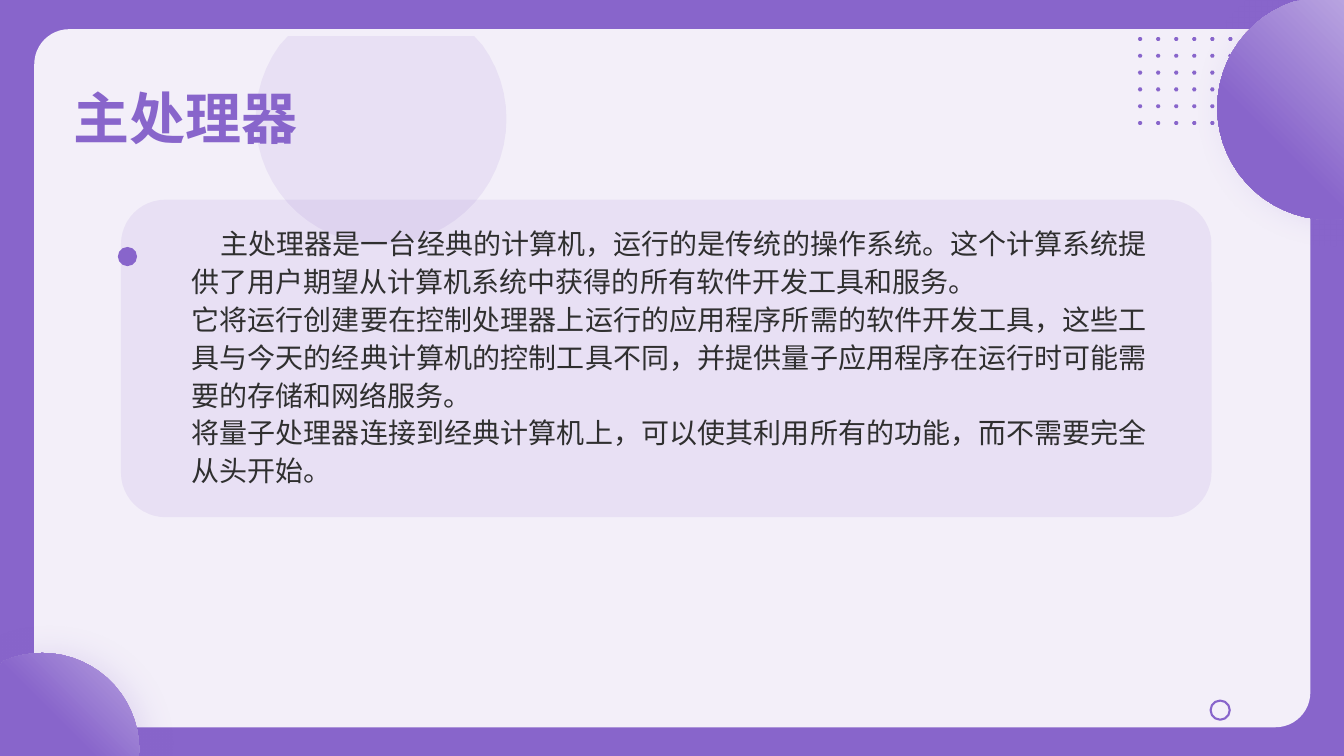
"""Build the main processor slide."""
from math import cos, radians, sin

from lxml.etree import SubElement
from pptx import Presentation
from pptx.dml.color import RGBColor
from pptx.enum.shapes import MSO_SHAPE
from pptx.enum.text import MSO_ANCHOR, PP_ALIGN
from pptx.oxml.ns import qn
from pptx.util import Pt

PURPLE = RGBColor(0x88, 0x65, 0xCB)
LILAC = RGBColor(0xB8, 0xA3, 0xE0)
WHITE = RGBColor(0xFF, 0xFF, 0xFF)
INK = RGBColor(0x2F, 0x2F, 0x2F)
WIDTH, HEIGHT = 960, 540
EAST_ASIAN_FONT = "Noto Sans CJK SC"
BODY = [
    "主处理器是一台经典的计算机，运行的是传统的操作系统。这个计算系统提供了用户期望从计算机系统中获得的所有软件开发工具和服务。",
    "它将运行创建要在控制处理器上运行的应用程序所需的软件开发工具，这些工具与今天的经典计算机的控制工具不同，并提供量子应用程序在运行时可能需要的存储和网络服务。",
    "将量子处理器连接到经典计算机上，可以使其利用所有的功能，而不需要完全从头开始。",
]


def fill_shape(shape, color, opacity=100):
    shape.shadow.inherit = False
    shape.line.fill.background()
    shape.fill.solid()
    shape.fill.fore_color.rgb = color
    if opacity < 100:
        tint = shape._element.spPr.find(qn("a:solidFill"))[0]
        SubElement(tint, qn("a:alpha"), val=str(opacity * 1000))


def add_glow(shape):
    effects = shape._element.spPr.find(qn("a:effectLst"))
    shadow = SubElement(effects, qn("a:outerShdw"), blurRad=str(Pt(23)),
                        dist=str(Pt(5)), dir="0", rotWithShape="0")
    tint = SubElement(shadow, qn("a:srgbClr"), val=str(PURPLE))
    SubElement(tint, qn("a:alpha"), val="17000")


def add_preset(slide, kind, left, top, width, height, color, opacity=100):
    shape = slide.shapes.add_shape(kind, Pt(left), Pt(top), Pt(width), Pt(height))
    fill_shape(shape, color, opacity)
    return shape


def circle_points(x, y, radius, step=6, top=0):
    """Return points of a circle, held inside the slide and below top."""
    points = [
        (Pt(min(max(x + radius * cos(radians(angle)), 0), WIDTH)),
         Pt(min(max(y + radius * sin(radians(angle)), top), HEIGHT)))
        for angle in range(0, 360, step)
    ]
    return list(dict.fromkeys(points))


def add_circles(slide, outlines, color, opacity=100):
    builder = slide.shapes.build_freeform(*outlines[0][0])
    for index, points in enumerate(outlines):
        if index:
            builder.move_to(*points[0])
        builder.add_line_segments(points[1:], close=True)
    shape = builder.convert_to_shape()
    fill_shape(shape, color, opacity)
    return shape


def add_corner_ball(slide, x, y, radius):
    ball = add_circles(slide, [circle_points(x, y, radius)], PURPLE)
    ball.fill.gradient()
    ball.fill.gradient_angle = 225
    stops = ball.fill.gradient_stops
    for stop, color, position in zip(stops, (LILAC, PURPLE), (0, 0.62)):
        stop.color.rgb = color
        stop.position = position
    add_glow(ball)


def add_dot_grid(slide):
    dots = [
        circle_points(814.4 + 12.9 * column, 27.9 + 12 * row, 1.6, step=60)
        for row in range(6)
        for column in range(6 if row < 2 else 5)
    ]
    add_circles(slide, dots, PURPLE)


def add_text(slide, left, top, width, height, lines, font, size, color, bold=False):
    box = slide.shapes.add_textbox(Pt(left), Pt(top), Pt(width), Pt(height))
    frame = box.text_frame
    frame.word_wrap = True
    frame.vertical_anchor = MSO_ANCHOR.BOTTOM
    frame.text = "\n".join(lines)
    for paragraph in frame.paragraphs:
        paragraph.font.name = font
        paragraph.font.size = Pt(size)
        paragraph.font.bold = bold
        paragraph.font.color.rgb = color
        defaults = paragraph._p.pPr.find(qn("a:defRPr"))
        SubElement(defaults, qn("a:ea"), typeface=EAST_ASIAN_FONT)
    return frame.paragraphs


def add_body(slide):
    paragraphs = add_text(slide, 118.8, 150, 707.8, 201.7, BODY, "Inter", 20, INK)
    for index, paragraph in enumerate(paragraphs):
        paragraph.alignment = PP_ALIGN.JUSTIFY
        paragraph.line_spacing = Pt(27)
        properties = paragraph._p.pPr
        properties.set("marL", str(Pt(10.8)))
        properties.set("indent", str(Pt(0 if index else 20.9)))


def main():
    presentation = Presentation()
    presentation.slide_width, presentation.slide_height = Pt(WIDTH), Pt(HEIGHT)
    slide = presentation.slides.add_slide(presentation.slide_layouts[6])
    slide.background.fill.solid()
    slide.background.fill.fore_color.rgb = PURPLE

    card = add_preset(slide, MSO_SHAPE.ROUNDED_RECTANGLE, 24.5, 20.9, 911.5, 498.6, WHITE, 90)
    card.adjustments[0] = 0.05
    add_glow(card)
    add_dot_grid(slide)
    add_corner_ball(slide, 949.5, 77, 80)
    add_corner_ball(slide, 30.2, 535.7, 69.3)

    panel = add_preset(slide, MSO_SHAPE.ROUNDED_RECTANGLE, 86.4, 142.6, 779, 226.8, PURPLE, 10)
    panel.adjustments[0] = 0.14
    add_circles(slide, [circle_points(272.2, 85, 89.6, top=25.9)], PURPLE, 10)
    add_preset(slide, MSO_SHAPE.OVAL, 84.2, 176.4, 13.7, 13.7, PURPLE)
    ring = add_preset(slide, MSO_SHAPE.OVAL, 864.7, 500.4, 13.7, 13.7, PURPLE)
    ring.fill.background()
    ring.line.color.rgb = PURPLE
    ring.line.width = Pt(1.5)

    add_body(slide)
    add_text(slide, 45.4, 40.3, 855.4, 70.6, ["主处理器"], "Arial", 40, PURPLE, bold=True)
    presentation.save("out.pptx")


if __name__ == "__main__":
    main()
